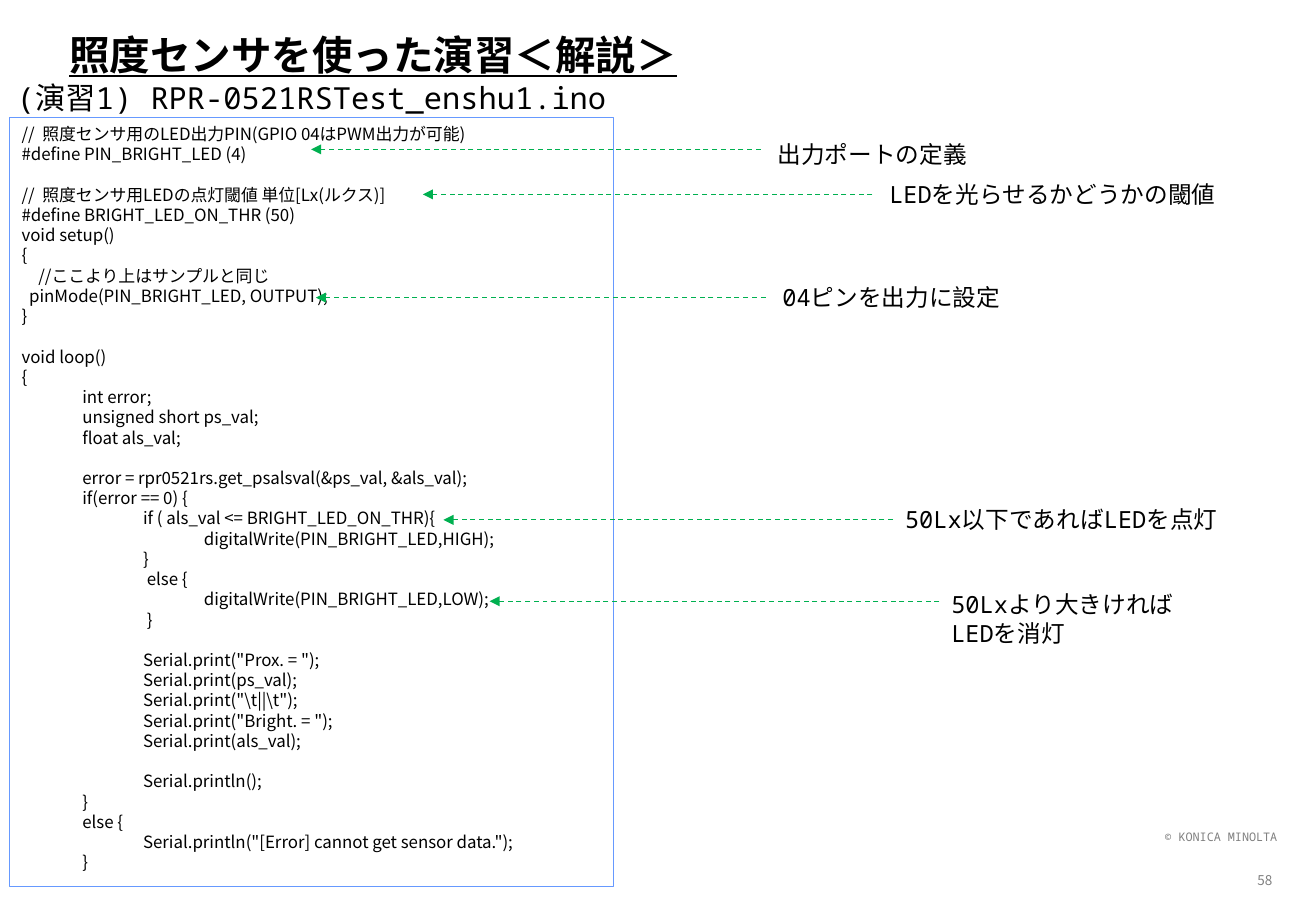
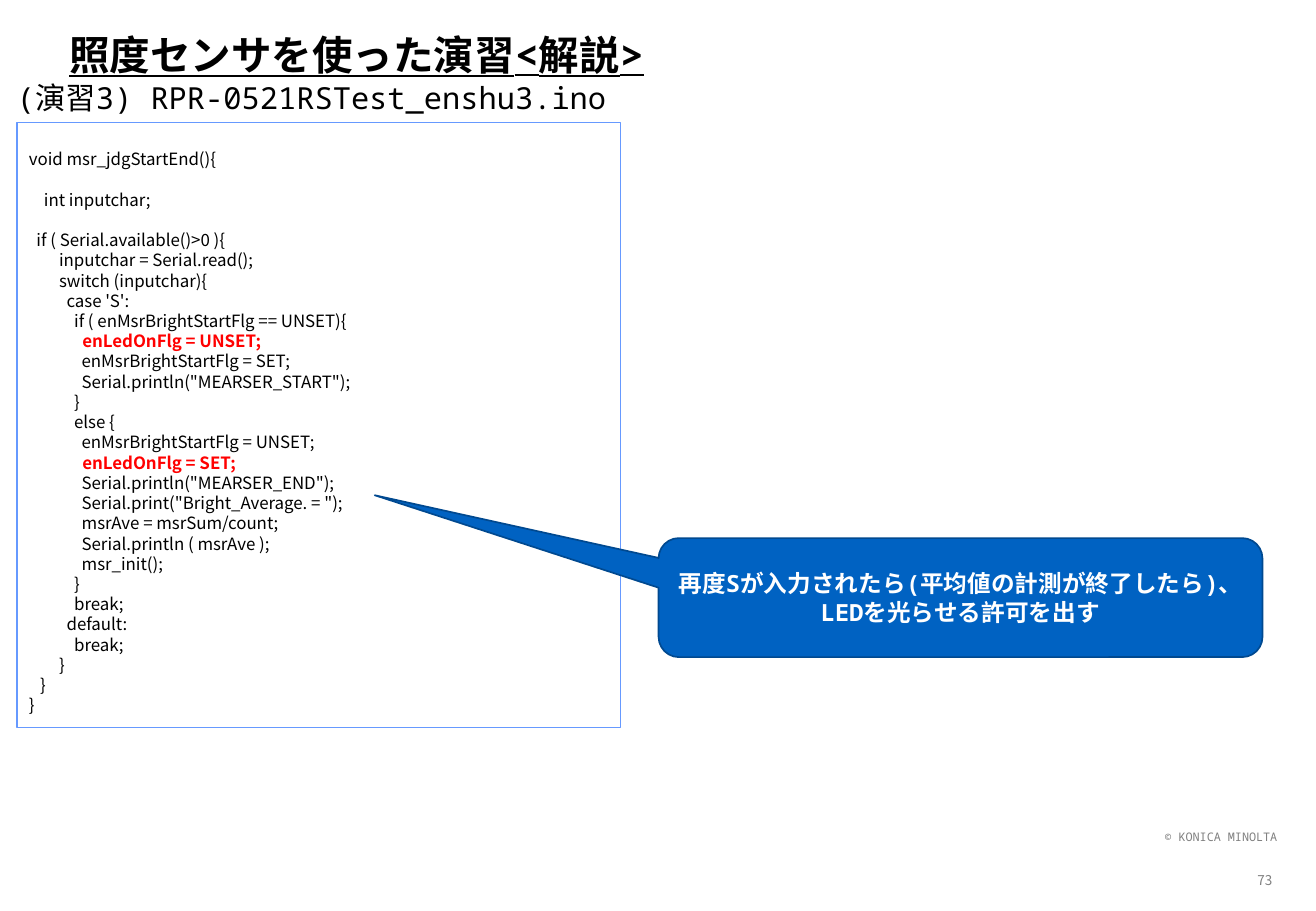
from pptx import Presentation
from pptx.dml.color import RGBColor
from pptx.enum.dml import MSO_LINE
from pptx.enum.shapes import MSO_CONNECTOR, MSO_SHAPE
from pptx.enum.text import MSO_ANCHOR, PP_ALIGN
from pptx.oxml.ns import qn
from pptx.util import Inches, Pt
from lxml.etree import SubElement

# Shared look
MONO, SANS = "Noto Sans Mono", "Noto Sans CJK JP"
BLACK, GRAY, RED, WHITE = "000000", "808080", "FF0000", "FFFFFF"
GREEN, EDGE, BLUE, NAVY = "00B050", "6699FF", "0062C2", "004990"
TITLE = dict(name=MONO, size=Pt(24), bold=True, underline=True)
HEAD = dict(name=MONO, size=Pt(18))
LABEL = dict(name=MONO, size=Pt(14))
STRONG = dict(LABEL, bold=True)
CODE = dict(name=SANS, size=Pt(10))
MARK = dict(CODE, bold=True)
COPY = dict(name=MONO, size=Pt(7))
PAGE = dict(name=SANS, size=Pt(8))
REACH = 3.7  # length of every arrow

LOOP = """//  照度センサ用のLED出力PIN(GPIO 04はPWM出力が可能)
#define PIN_BRIGHT_LED (4)

//  照度センサ用LEDの点灯閾値 単位[Lx(ルクス)]
#define BRIGHT_LED_ON_THR (50)
void setup()
{
　//ここより上はサンプルと同じ
  pinMode(PIN_BRIGHT_LED, OUTPUT);
}

void loop()
{
\tint error;
\tunsigned short ps_val;
\tfloat als_val;

\terror = rpr0521rs.get_psalsval(&ps_val, &als_val);
\tif(error == 0) {
\t\tif ( als_val <= BRIGHT_LED_ON_THR){
      \t\t\tdigitalWrite(PIN_BRIGHT_LED,HIGH);
    \t\t}
   \t\t else {
      \t\t\tdigitalWrite(PIN_BRIGHT_LED,LOW);
   \t\t }

\t\tSerial.print("Prox. = ");
\t\tSerial.print(ps_val);
\t\tSerial.print("\\t||\\t");
\t\tSerial.print("Bright. = ");
\t\tSerial.print(als_val);

\t\tSerial.println();
\t}
\telse {
\t\tSerial.println("[Error] cannot get sensor data.");
\t}"""

JUDGE = """
void msr_jdgStartEnd(){

    int inputchar;

  if ( Serial.available()>0 ){
        inputchar = Serial.read();
        switch (inputchar){
          case 'S':
            if ( enMsrBrightStartFlg == UNSET){
              enLedOnFlg = UNSET;
              enMsrBrightStartFlg = SET;
              Serial.println("MEARSER_START");
            }
            else {
              enMsrBrightStartFlg = UNSET;
              enLedOnFlg = SET;
              Serial.println("MEARSER_END");
              Serial.print("Bright_Average. = ");
              msrAve = msrSum/count;
              Serial.println ( msrAve );
              msr_init();
            }
            break;
          default:
            break;
        }
   }
}"""

# Label box (left, top, width, height), arrow start (x, y), text
NOTES = [
    ((6.3, 1.1, 1.77, 0.34), (6.26, 1.23), "出力ポートの定義"),
    ((7.22, 1.43, 2.92, 0.34), (7.18, 1.6), "LEDを光らせるかどうかの閾値"),
    ((6.34, 2.28, 2.02, 0.34), (6.3, 2.45), "04ピンを出力に設定"),
    ((7.35, 4.11, 2.8, 0.34), (7.35, 4.28), "50Lx以下であればLEDを点灯"),
    ((7.73, 4.81, 2.05, 0.57), (7.73, 4.95), "50Lxより大きければ\nLEDを消灯"),
]


def color(code):
    return RGBColor.from_string(code)


def style(font, look, ink):
    for key, value in look.items():
        setattr(font, key, value)
    font.color.rgb = color(ink)


def write(shape, text, look, ink=BLACK, align=PP_ALIGN.LEFT,
          anchor=MSO_ANCHOR.TOP, lead=1.2, mark=None):
    """Fill a shape with one paragraph a line; lines that start with mark are red."""
    frame = shape.text_frame
    frame.word_wrap = True
    frame.vertical_anchor = anchor
    for num, line in enumerate(text.split("\n")):
        para = frame.add_paragraph() if num else frame.paragraphs[0]
        para.alignment = align
        para.line_spacing = Pt(look["size"].pt * lead)
        hot = mark and line.strip().startswith(mark)
        form, hue = (MARK, RED) if hot else (look, ink)
        if not line:
            style(para.font, form, hue)
            continue
        run = para.add_run()
        run.text = line
        style(run.font, form, hue)
        east = SubElement(run.font._element, qn("a:ea"))
        east.set("typeface", SANS)


def label(slide, box, text, look, **kind):
    shape = slide.shapes.add_textbox(*map(Inches, box))
    write(shape, text, look, **kind)
    return shape


def block(slide, form, box, fill, edge, width):
    shape = slide.shapes.add_shape(form, *map(Inches, box))
    shape.shadow.inherit = False
    shape.fill.solid()
    shape.fill.fore_color.rgb = color(fill)
    shape.line.color.rgb = color(edge)
    shape.line.width = Pt(width)
    return shape


def listing(slide, box, text, mark=None):
    shape = block(slide, MSO_SHAPE.RECTANGLE, box, WHITE, EDGE, 0.75)
    write(shape, text, CODE, mark=mark)


def arrow(slide, x, y):
    line = slide.shapes.add_connector(
        MSO_CONNECTOR.STRAIGHT, *map(Inches, (x, y, x - REACH, y)))
    line.line.color.rgb = color(GREEN)
    line.line.width = Pt(0.75)
    line.line.dash_style = MSO_LINE.DASH
    SubElement(line.line._get_or_add_ln(), qn("a:tailEnd")).set("type", "triangle")
    SubElement(line._element.spPr, qn("a:effectLst"))
    return line


def note(slide, box, start, text):
    shape = label(slide, box, text, LABEL)
    line = arrow(slide, *start)
    left, top, _, high = box
    if start == (left, round(top + high / 2, 2)):
        line.begin_connect(shape, 1)


def callout(slide, box, adjust, text):
    shape = block(slide, MSO_SHAPE.ROUNDED_RECTANGULAR_CALLOUT, box, BLUE, NAVY, 1)
    for num, value in enumerate(adjust):
        shape.adjustments[num] = value
    write(shape, text, STRONG, WHITE, PP_ALIGN.CENTER, MSO_ANCHOR.MIDDLE)


def page(deck, title, head, num):
    """Add a slide with the shared title, heading and footer."""
    slide = deck.slides.add_slide(deck.slide_layouts[6])
    label(slide, (8.61, 6.78, 2, 0.22), "© KONICA MINOLTA", COPY,
          ink=GRAY, align=PP_ALIGN.RIGHT)
    label(slide, (10.21, 7.08, 0.4, 0.33), num, PAGE,
          ink=GRAY, align=PP_ALIGN.CENTER, anchor=MSO_ANCHOR.MIDDLE)
    label(slide, (0.47, 0.21, 8.06, 0.51), title, TITLE,
          anchor=MSO_ANCHOR.MIDDLE, lead=1.08)
    label(slide, (0.04, 0.6, 10.38, 0.4), head, HEAD)
    return slide


def main():
    deck = Presentation()
    deck.slide_width, deck.slide_height = Inches(10.83), Inches(7.5)

    # Exercise 1: code with notes
    slide = page(deck, "照度センサを使った演習＜解説＞",
                 "(演習1) RPR-0521RSTest_enshu1.ino", "58")
    listing(slide, (0.08, 0.97, 4.97, 6.33), LOOP)
    for item in NOTES:
        note(slide, *item)

    # Exercise 3: code with callout
    slide = page(deck, "照度センサを使った演習<解説>",
                 "(演習3) RPR-0521RSTest_enshu3.ino", "73")
    listing(slide, (0.14, 1.01, 4.97, 4.98), JUDGE, mark="enLedOnFlg")
    callout(slide, (5.42, 4.43, 4.97, 0.98), (-0.97, -0.86, 0.17),
            "再度Sが入力されたら(平均値の計測が終了したら)、LEDを光らせる許可を出す")

    deck.save("out.pptx")


if __name__ == "__main__":
    main()
